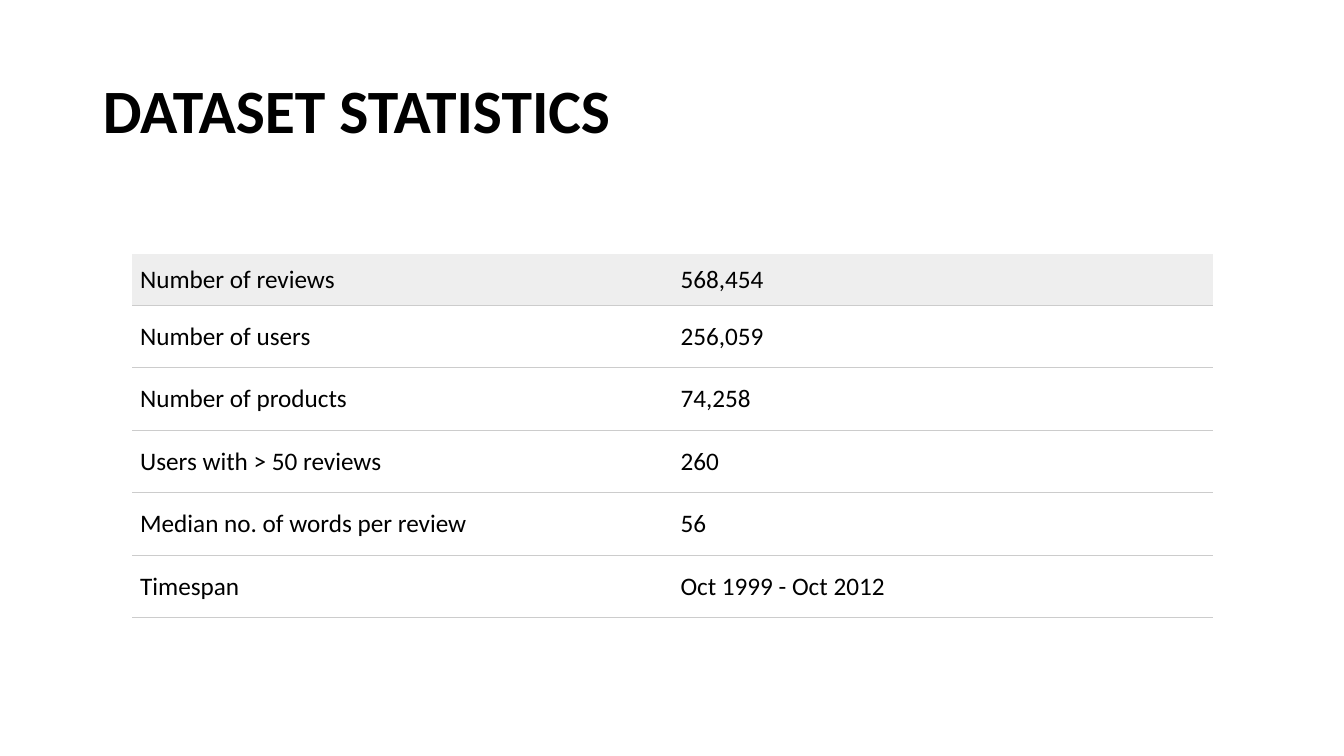
"""Build the dataset statistics slide: a title above a two-column table."""
from lxml.etree import SubElement
from pptx import Presentation
from pptx.dml.color import RGBColor
from pptx.enum.text import MSO_ANCHOR, PP_ALIGN
from pptx.oxml.ns import qn
from pptx.util import Inches, Pt

TITLE = "DATASET STATISTICS"
STATISTICS = [
    ("Number of reviews", "568,454"),
    ("Number of users", "256,059"),
    ("Number of products", "74,258"),
    ("Users with > 50 reviews", "260"),
    ("Median no. of words per review", "56"),
    ("Timespan", "Oct 1999 - Oct 2012"),
]
COLORS = {"text": "000000", "first": "EEEEEE", "other": "FFFFFF", "rule": "CCCCCC"}
FONT = "Calibri"
SLIDE_WIDTH, SLIDE_HEIGHT = 13.33, 7.5
TITLE_BOX = (0.92, 0.4, 11.5, 1.45)
TABLE_LEFT, TABLE_TOP = 1.31, 2.52
COLUMN_WIDTH, FIRST_HEIGHT, ROW_HEIGHT = 5.36, 0.51, 0.62
MARGIN_X, MARGIN_Y = 0.08, 0.03


def style_text(frame, size, bold=False):
    frame.vertical_anchor = MSO_ANCHOR.MIDDLE
    for para in frame.paragraphs:
        para.alignment = PP_ALIGN.LEFT
        for span in para.runs:
            span.font.name = FONT
            span.font.size = Pt(size)
            span.font.bold = bold
            span.font.color.rgb = RGBColor.from_string(COLORS["text"])


def add_borders(cell, ruled_sides):
    properties = cell._tc.get_or_add_tcPr()
    for side in "LRTB":
        line = SubElement(properties, qn(f"a:ln{side}"), w=str(Pt(0.75)))
        if side in ruled_sides:
            fill = SubElement(line, qn("a:solidFill"))
            SubElement(fill, qn("a:srgbClr"), val=COLORS["rule"])
        else:
            SubElement(line, qn("a:noFill"))


def add_title(page):
    title = page.shapes.title
    title.left, title.top, title.width, title.height = map(Inches, TITLE_BOX)
    title.text_frame.text = TITLE
    title.text_frame.paragraphs[0].line_spacing = 0.9
    style_text(title.text_frame, 44, bold=True)


def add_statistics(page):
    heights = [FIRST_HEIGHT] + [ROW_HEIGHT] * (len(STATISTICS) - 1)
    columns = len(STATISTICS[0])
    table = page.shapes.add_table(
        len(STATISTICS), columns, Inches(TABLE_LEFT), Inches(TABLE_TOP),
        Inches(COLUMN_WIDTH * columns), Inches(sum(heights))).table
    table.first_row = table.horz_banding = False
    for column in table.columns:
        column.width = Inches(COLUMN_WIDTH)
    for index, (values, height) in enumerate(zip(STATISTICS, heights)):
        table.rows[index].height = Inches(height)
        for cell, value in zip(table.rows[index].cells, values):
            cell.text_frame.text = value
            style_text(cell.text_frame, 18)
            cell.vertical_anchor = MSO_ANCHOR.MIDDLE
            cell.margin_left = cell.margin_right = Inches(MARGIN_X)
            cell.margin_top = cell.margin_bottom = Inches(MARGIN_Y)
            add_borders(cell, "TB" if index else "B")
            cell.fill.solid()
            shade = COLORS["other" if index else "first"]
            cell.fill.fore_color.rgb = RGBColor.from_string(shade)


def main():
    deck = Presentation()
    deck.slide_width, deck.slide_height = Inches(SLIDE_WIDTH), Inches(SLIDE_HEIGHT)
    page = deck.slides.add_slide(deck.slide_layouts[5])
    add_title(page)
    add_statistics(page)
    deck.save("out.pptx")


if __name__ == "__main__":
    main()
